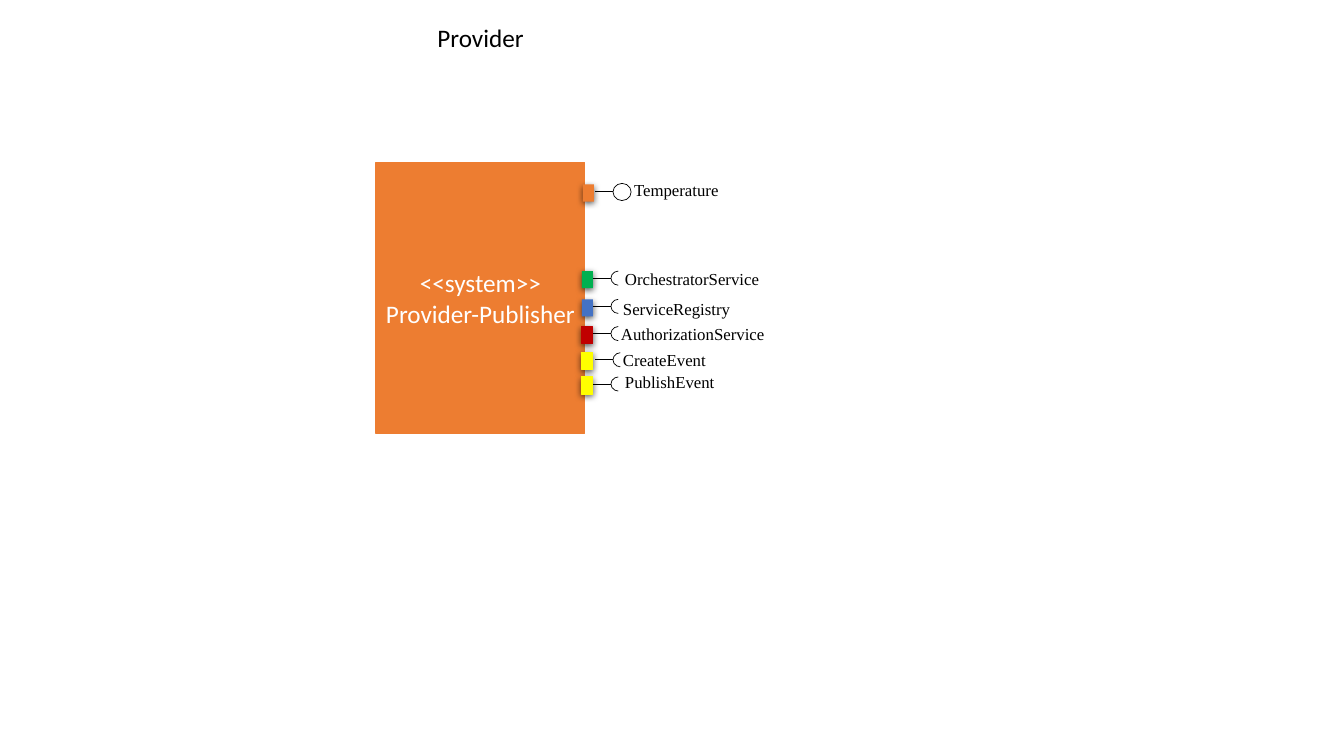
import pptx
import pptx.util
import pptx.dml.color
import pptx.enum.shapes
import pptx.enum.text
import pptx.oxml
import pptx.oxml.ns
from pptx.util import Inches

SHAPE = pptx.enum.shapes.MSO_SHAPE
SOCKET = (55.268, 160.746)
BALL = (55.268, 55.014)
SHADOW = (
    f'<a:effectLst {pptx.oxml.ns.nsdecls("a")}>'
    '<a:outerShdw blurRad="57150" dist="19050" dir="5400000" algn="ctr" rotWithShape="0">'
    '<a:srgbClr val="000000"><a:alpha val="63000"/></a:srgbClr>'
    '</a:outerShdw></a:effectLst>'
)
NO_EFFECT = f'<a:effectLst {pptx.oxml.ns.nsdecls("a")}/>'


def rgb(value):
    return pptx.dml.color.RGBColor.from_string(value)


def set_line(line, color, width):
    line.color.rgb = rgb(color)
    line.width = pptx.util.Pt(width)


def format_runs(tf, size, font, color):
    for p in tf.paragraphs:
        for r in p.runs:
            r.font.size = pptx.util.Pt(size)
            r.font.name = font
            r.font.color.rgb = rgb(color)


def add_rect(s, x, y, w, h, fill, line_width=0):
    sp = s.shapes.add_shape(SHAPE.RECTANGLE, Inches(x), Inches(y), Inches(w), Inches(h))
    sp.fill.solid()
    sp.fill.fore_color.rgb = rgb(fill)
    if line_width:
        set_line(sp.line, fill, line_width)
    else:
        sp.line.fill.background()
    sp.shadow.inherit = False
    return sp


def add_system(s, lines):
    tf = add_rect(s, 3.73, 1.61, 2.07, 2.69, "ED7D31", 1).text_frame
    tf.text = "\n".join(lines)
    tf.word_wrap = True
    tf.vertical_anchor = pptx.enum.text.MSO_ANCHOR.MIDDLE
    for p in tf.paragraphs:
        p.alignment = pptx.enum.text.PP_ALIGN.CENTER
    format_runs(tf, 18, "Calibri", "FFFFFF")


def add_text(s, x, y, w, h, text, size, font):
    tf = s.shapes.add_textbox(Inches(x), Inches(y), Inches(w), Inches(h)).text_frame
    tf.text = text
    tf.word_wrap = False
    format_runs(tf, size, font, "000000")


def add_port(s, x, y, fill, line_width):
    sp = add_rect(s, x, y, 0.11, 0.17, fill, line_width)
    sp.shadow.inherit = True
    sp._element.spPr.append(pptx.oxml.parse_xml(SHADOW))


def add_stem(s, x, y):
    cn = s.shapes.add_connector(
        pptx.enum.shapes.MSO_CONNECTOR.STRAIGHT,
        Inches(x), Inches(y), Inches(x + 0.18), Inches(y))
    set_line(cn.line, "000000", 0.5)
    cn._element.spPr.append(pptx.oxml.parse_xml(NO_EFFECT))


def add_arc(s, x, y, w, h, angles):
    sp = s.shapes.add_shape(SHAPE.ARC, Inches(x), Inches(y), Inches(w), Inches(h))
    sp.adjustments[0], sp.adjustments[1] = angles
    sp.fill.background()
    set_line(sp.line, "000000", 0.5)
    sp.shadow.inherit = False


def add_provided(s, name, y, fill):
    add_port(s, 5.78, y - 0.07, fill, 0)
    add_stem(s, 5.9, y)
    add_arc(s, 6.08, y - 0.08, 0.18, 0.17, BALL)
    add_text(s, 6.19, y - 0.17, 1.57, 0.41, name, 12, "Times New Roman")


def add_required(s, name, y, fill, line_width, stem_x, label_x, label_y):
    add_port(s, 5.77, y - 0.07, fill, line_width)
    add_stem(s, stem_x, y)
    add_arc(s, stem_x + 0.18, y - 0.07, 0.15, 0.14, SOCKET)
    add_text(s, label_x, label_y, 1.68, 0.41, name, 12, "Times New Roman")


def main():
    prs = pptx.Presentation()
    prs.slide_width, prs.slide_height = Inches(13.33), Inches(7.5)
    s = prs.slides.add_slide(prs.slide_layouts[6])
    add_system(s, ["<<system>>", "Provider-Publisher"])
    add_provided(s, "Temperature", 1.9, "ED7D31")
    required = [
        ("OrchestratorService", 2.76, "00B050", 0, 5.88, 6.1, 2.62),
        ("ServiceRegistry", 3.04, "4472C4", 0, 5.88, 6.08, 2.91),
        ("AuthorizationService", 3.31, "C00000", 0.75, 5.88, 6.06, 3.16),
        ("CreateEvent", 3.57, "FFFF00", 0.75, 5.9, 6.08, 3.42),
        ("PublishEvent", 3.81, "FFFF00", 0.75, 5.88, 6.1, 3.64),
    ]
    for service in required:
        add_required(s, *service)
    add_text(s, 4.24, 0.17, 1.07, 0.4, "Provider", 18, "Calibri")
    prs.save("out.pptx")


main()
